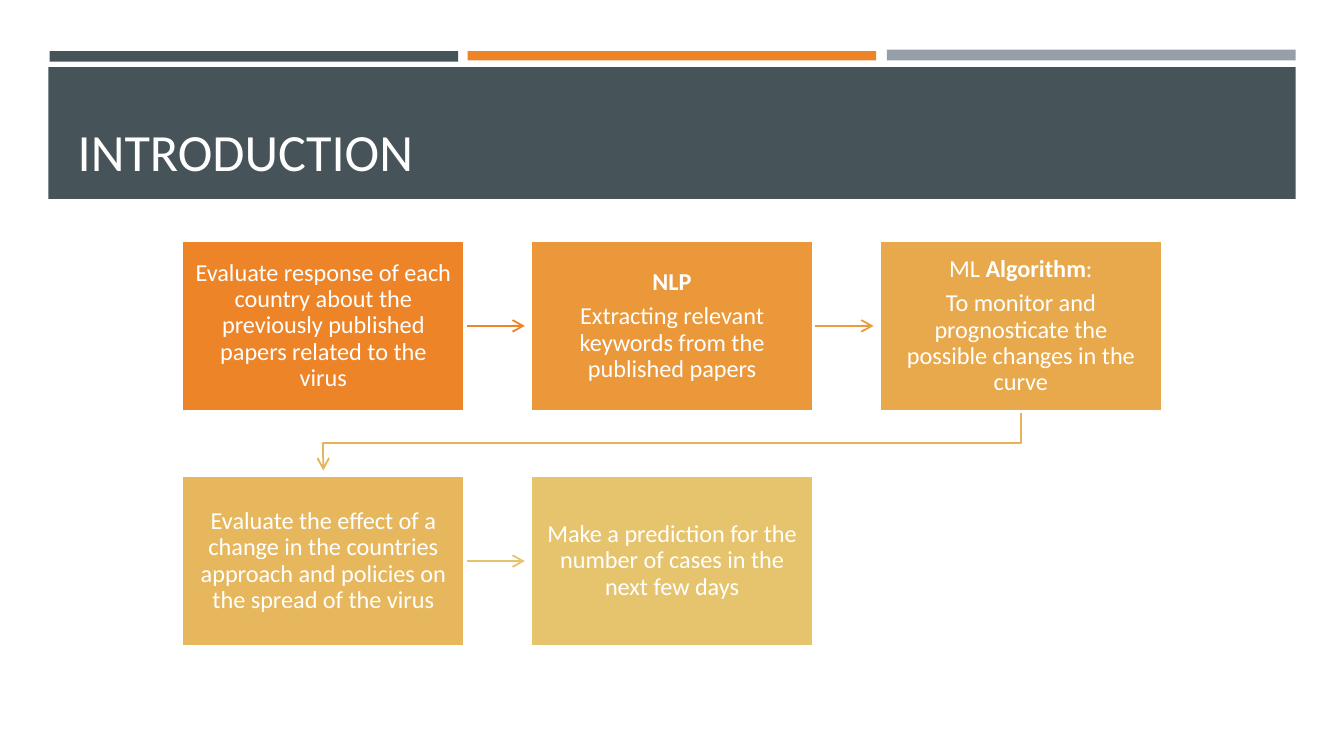
"""Build the introduction slide with its five-step process flow."""
from lxml.etree import SubElement
from pptx import Presentation
from pptx.dml.color import RGBColor
from pptx.enum.shapes import MSO_CONNECTOR, MSO_SHAPE
from pptx.enum.text import MSO_ANCHOR, PP_ALIGN
from pptx.oxml.ns import qn
from pptx.util import Inches, Pt

TITLE = "INTRODUCTION"
BARS = [
    (0.37, 0.38, 3.04, 0.08, "465359"),
    (6.6, 0.37, 3.04, 0.08, "969FA7"),
    (3.48, 0.38, 3.04, 0.07, "ED8428"),
    (0.36, 0.5, 9.28, 0.98, "465359"),
]
STEPS = [
    ("ED8428", [[("Evaluate response of each country about the previously "
                  "published papers related to the virus", False)]]),
    ("EA983A", [[("NLP", True)],
                [("Extracting relevant keywords from the published papers", False)]]),
    ("E8A94C", [[("ML ", False), ("Algorithm", True), (":", False)],
                [("To monitor and prognosticate the possible changes in the curve", False)]]),
    ("E7B75D", [[("Evaluate the effect of a change in the countries approach "
                  "and policies on the spread of the virus", False)]]),
    ("E6C46D", [[("Make a prediction for the number of cases in the next few days", False)]]),
]
ARROW_COLORS = ["ED8428", "EA9D40", "E7B357", "E6C46D"]

SLIDE_WIDTH = 10
SLIDE_HEIGHT = SLIDE_WIDTH * 9 / 16
COLUMNS = 3
LEFT, LAST_LEFT, TOP = 1.35, 6.54, 1.79
BOX_WIDTH, BOX_HEIGHT = 2.11, 1.27
COLUMN_STEP = (LAST_LEFT - LEFT) / (COLUMNS - 1)
ROW_STEP = 1.75
ARROW_GAP = 0.04


def color(value):
    return RGBColor.from_string(value)


def box_position(index):
    row, column = divmod(index, COLUMNS)
    return LEFT + column * COLUMN_STEP, TOP + row * ROW_STEP


def add_rectangle(slide, left, top, width, height, fill, outline=None):
    shape = slide.shapes.add_shape(
        MSO_SHAPE.RECTANGLE, Inches(left), Inches(top), Inches(width), Inches(height))
    shape.shadow.inherit = False
    shape.fill.solid()
    shape.fill.fore_color.rgb = color(fill)
    if outline:
        shape.line.color.rgb = color(outline)
        shape.line.width = Pt(1.75)
    else:
        shape.line.fill.background()
    return shape


def write_text(shape, paragraphs, size=13, text_color="FFFFFF", align=PP_ALIGN.CENTER,
               anchor=MSO_ANCHOR.MIDDLE, margins=(0.1, 0.11), line_spacing=0.9, space_after=4.55):
    frame = shape.text_frame
    frame.word_wrap = True
    frame.vertical_anchor = anchor
    frame.margin_left = frame.margin_right = Inches(margins[0])
    frame.margin_top = frame.margin_bottom = Inches(margins[1])
    for index, runs in enumerate(paragraphs):
        paragraph = frame.add_paragraph() if index else frame.paragraphs[0]
        paragraph.alignment = align
        paragraph.line_spacing = line_spacing
        paragraph.space_after = Pt(space_after)
        for text, bold in runs:
            run = paragraph.add_run()
            run.text = text
            run.font.name = "Calibri"
            run.font.size = Pt(size)
            run.font.bold = bold
            run.font.color.rgb = color(text_color)


def add_arrow(slide, points, line_color):
    corners = [(Inches(x), Inches(y)) for x, y in points]
    if len(corners) == 2:
        arrow = slide.shapes.add_connector(MSO_CONNECTOR.STRAIGHT, *corners[0], *corners[1])
        SubElement(arrow.element.spPr, qn("a:effectLst"))
    else:
        builder = slide.shapes.build_freeform(*corners[0])
        builder.add_line_segments(corners[1:], close=False)
        arrow = builder.convert_to_shape()
        arrow.fill.background()
        arrow.shadow.inherit = False
    arrow.line.color.rgb = color(line_color)
    arrow.line.width = Pt(1)
    outline = arrow.element.spPr.find(qn("a:ln"))
    SubElement(outline, qn("a:tailEnd"), type="arrow")


def arrow_points(index):
    left, top = box_position(index)
    next_left, next_top = box_position(index + 1)
    if top == next_top:
        middle = top + BOX_HEIGHT / 2
        return [(left + BOX_WIDTH, middle), (next_left - ARROW_GAP, middle)]
    start, end = left + BOX_WIDTH / 2, next_left + BOX_WIDTH / 2
    bottom = top + BOX_HEIGHT
    bend = (bottom + next_top) / 2
    return [(start, bottom), (start, bend), (end, bend), (end, next_top - ARROW_GAP)]


def main():
    presentation = Presentation()
    presentation.slide_width = Inches(SLIDE_WIDTH)
    presentation.slide_height = Inches(SLIDE_HEIGHT)
    slide = presentation.slides.add_slide(presentation.slide_layouts[6])

    for bar in BARS:
        add_rectangle(slide, *bar)
    title = slide.shapes.add_textbox(Inches(0.48), Inches(0.58), Inches(9.05), Inches(0.83))
    write_text(title, [[(TITLE, False)]], size=28, text_color="FFFEFF", align=PP_ALIGN.LEFT,
               anchor=MSO_ANCHOR.BOTTOM, margins=(0.1, 0.05), space_after=0)

    for index, line_color in enumerate(ARROW_COLORS):
        add_arrow(slide, arrow_points(index), line_color)
    for index, (fill, paragraphs) in enumerate(STEPS):
        box = add_rectangle(slide, *box_position(index), BOX_WIDTH, BOX_HEIGHT, fill, "FFFFFF")
        write_text(box, paragraphs)

    presentation.save("out.pptx")


if __name__ == "__main__":
    main()
